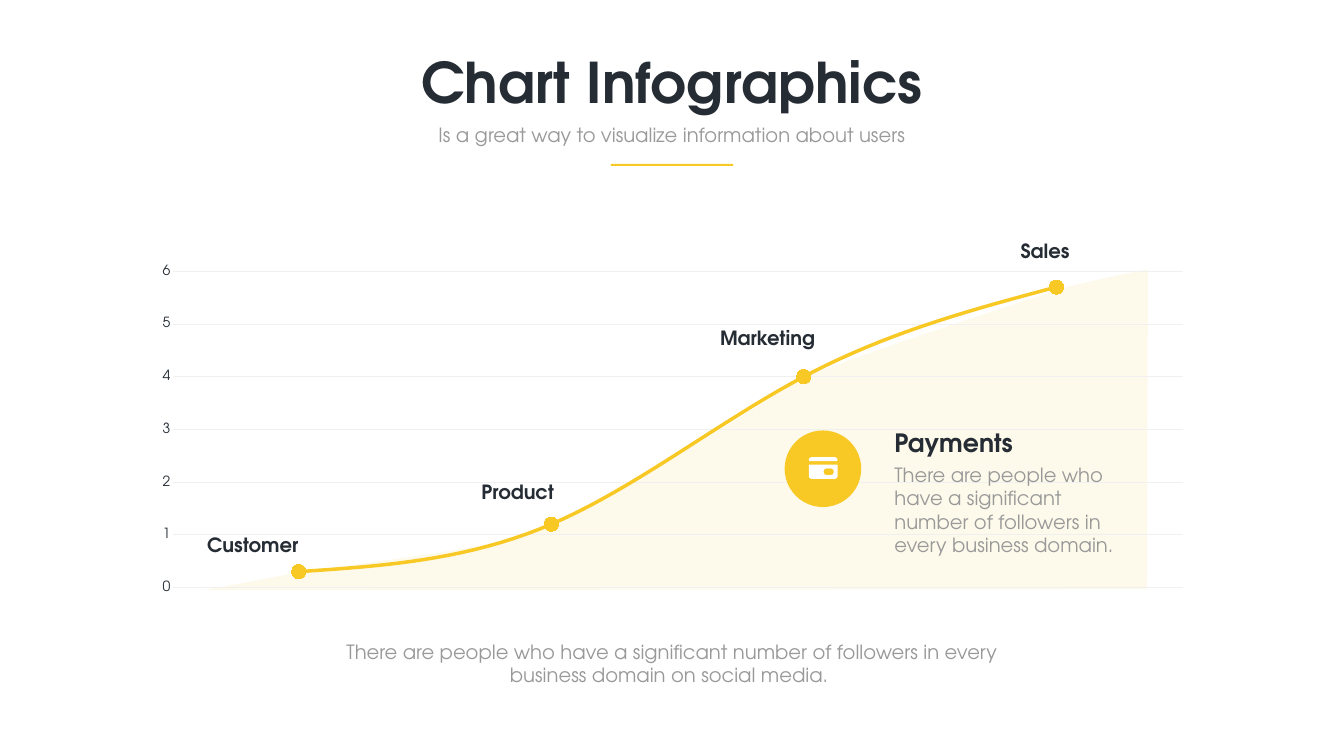
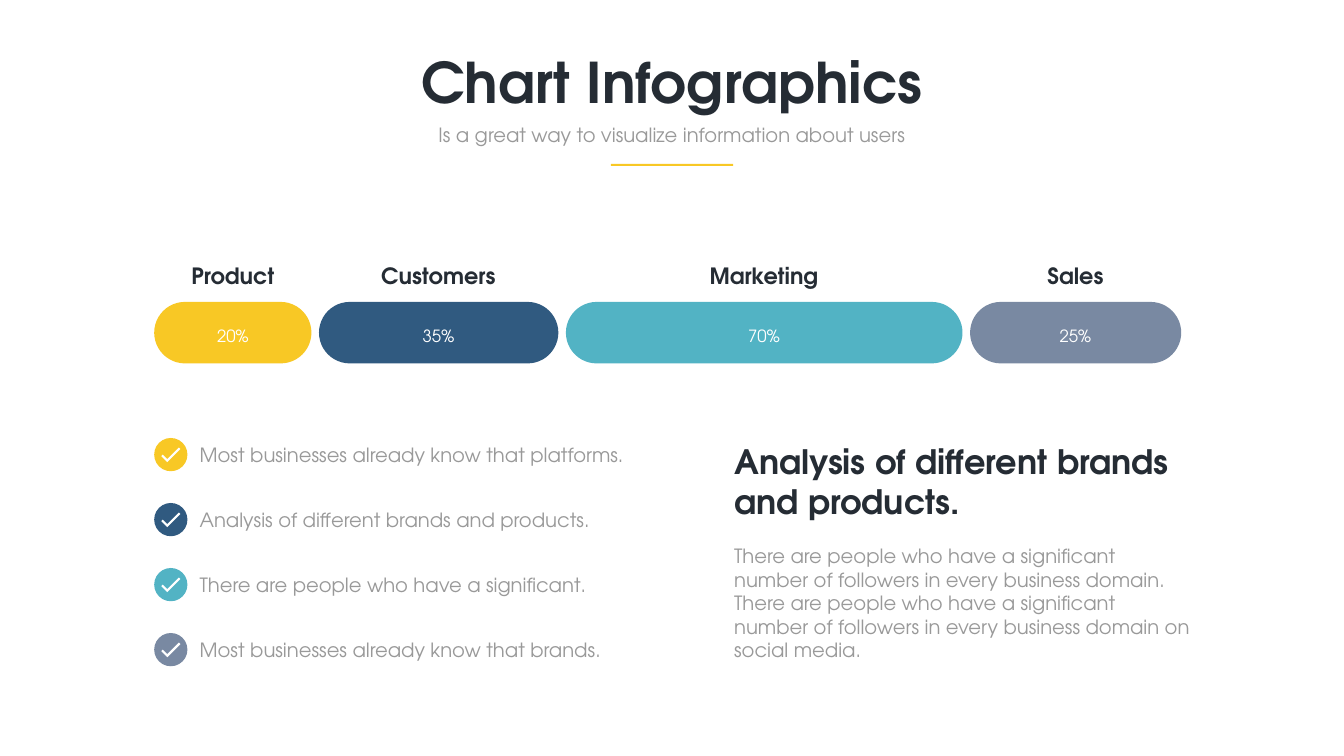
from dataclasses import dataclass

import lxml.etree
import pptx
import pptx.chart.data
import pptx.dml.color
import pptx.enum.chart
import pptx.enum.shapes
import pptx.enum.text
import pptx.oxml.ns
import pptx.util

RGBColor = pptx.dml.color.RGBColor
Pt = pptx.util.Pt
qn = pptx.oxml.ns.qn
Align = pptx.enum.text.PP_ALIGN
Preset = pptx.enum.shapes.MSO_SHAPE

SCALE = 9144  # EMU in one px, 100 px to the inch
FONT = "TeX Gyre Adventor"
INK = RGBColor(0x25, 0x2C, 0x34)
GRAY = RGBColor(0x99, 0x99, 0x99)
WHITE = RGBColor(0xFF, 0xFF, 0xFF)
GRID = RGBColor(0xF0, 0xF0, 0xF0)
CREAM = RGBColor(0xFE, 0xF4, 0xD3)
YELLOW = RGBColor(0xF8, 0xC8, 0x25)
NAVY = RGBColor(0x30, 0x5A, 0x80)
TEAL = RGBColor(0x52, 0xB3, 0xC4)
SLATE = RGBColor(0x79, 0x89, 0xA2)


@dataclass(frozen=True)
class Rect:
    left: int
    top: int
    width: int
    height: int

    def emu(self) -> list[int]:
        return [side * SCALE for side in (self.left, self.top, self.width, self.height)]


@dataclass(frozen=True)
class Style:
    size: int
    color: RGBColor = GRAY
    bold: bool = False
    align: Align = Align.LEFT
    line_spacing: float | None = None


@dataclass(frozen=True)
class Segment:
    name: str
    percent: str
    width: int
    color: RGBColor


@dataclass(frozen=True)
class Contour:
    """Closed outline: each step is a line end (2 numbers) or a cubic curve (6 numbers)."""
    start: tuple[int, int]
    steps: tuple[tuple[int, ...], ...]

    def points(self) -> list[tuple[int, int]]:
        return [step[index:index + 2] for step in self.steps for index in range(0, len(step), 2)]


TITLE = Style(80, INK, True, Align.CENTER)
SUBTITLE = Style(28, align=Align.CENTER)
BODY = Style(28)
POINT_LABEL = Style(28, INK, True, Align.RIGHT)
CARD_TITLE = Style(36, INK, True)
SEGMENT_NAME = Style(32, INK, True, Align.CENTER)
PERCENT = Style(24, WHITE, align=Align.CENTER, line_spacing=40.8)
HEADLINE = Style(48, INK, True)

AREA = Contour((586, 1137), (
    (775, 1108, 1021, 1084, 1095, 1042), (1256, 964, 1293, 935, 1602, 745),
    (1774, 684, 1718, 700, 2115, 570), (2241, 540, 2224, 546, 2278, 534),
    (2276, 1169), (406, 1171)))
CARD_STRIPE = Contour((1657, 907), (
    (1610, 907), (1607, 907, 1605, 910, 1605, 912), (1605, 913),
    (1605, 914, 1605, 915, 1606, 915), (1661, 915),
    (1662, 915, 1662, 914, 1662, 913), (1662, 912),
    (1662, 910, 1660, 907, 1657, 907)))
CARD_BODY = Contour((1661, 922), (
    (1606, 922), (1605, 922, 1605, 922, 1605, 923), (1605, 945),
    (1605, 948, 1607, 950, 1610, 950), (1657, 950),
    (1660, 950, 1662, 948, 1662, 945), (1662, 923),
    (1662, 922, 1662, 922, 1661, 922)))
CARD_HOLE = Contour((1648, 943), (
    (1647, 943, 1645, 943, 1644, 942), (1643, 943, 1642, 943, 1641, 943),
    (1637, 943, 1634, 940, 1634, 936), (1634, 932, 1637, 929, 1641, 929),
    (1642, 929, 1643, 929, 1644, 930), (1645, 929, 1647, 929, 1648, 929),
    (1652, 929, 1655, 932, 1655, 936), (1655, 940, 1652, 943, 1648, 943)))
CHECK_MARK = ((26, 42), (17, 33), (14, 36), (26, 48), (52, 22), (49, 19))

VALUES = (0.3, 1.2, 4, 5.7)
POINT_LABELS = (("Customer", 339, 1052), ("Product", 846, 948),
                ("Marketing", 1364, 641), ("Sales", 1869, 470))
SEGMENTS = (Segment("Product", "20%", 312, YELLOW), Segment("Customers", "35%", 475, NAVY),
            Segment("Marketing", "70%", 787, TEAL), Segment("Sales", "25%", 419, SLATE))
CHECKS = ("Most businesses already know that platforms.",
          "Analysis of different brands and products.",
          "There are people who have a significant.",
          "Most businesses already know that brands.")
MARGIN = 306
SEGMENT_GAP = 15
CHECK_PITCH = 129
CHECK_SPACE = 59  # points between list items, matching CHECK_PITCH


def write(box, lines: tuple[str, ...], style: Style, space_before: int = 0) -> None:
    frame = box.text_frame
    frame.word_wrap = True
    frame.auto_size = pptx.enum.text.MSO_AUTO_SIZE.SHAPE_TO_FIT_TEXT
    frame.vertical_anchor = pptx.enum.text.MSO_ANCHOR.TOP
    for index, line in enumerate(lines):
        para = frame.add_paragraph() if index else frame.paragraphs[0]
        para.alignment = style.align
        para.space_before = Pt(space_before if index else 0)
        if style.line_spacing:
            para.line_spacing = Pt(style.line_spacing)
        span = para.add_run()
        span.text = line
        span.font.name = FONT
        span.font.size = Pt(style.size)
        span.font.bold = style.bold
        span.font.color.rgb = style.color


def add_text(page, rect: Rect, text: str, style: Style) -> None:
    write(page.shapes.add_textbox(*rect.emu()), (text,), style)


def fill_placeholder(box, rect: Rect, lines: tuple[str, ...], style: Style,
                     space_before: int = 0) -> None:
    box.left, box.top, box.width, box.height = rect.emu()
    write(box, lines, style, space_before)


def paint(shape, color: RGBColor) -> None:
    shape.shadow.inherit = False
    shape.fill.solid()
    shape.fill.fore_color.rgb = color
    shape.line.fill.background()


def add_preset(page, kind: Preset, rect: Rect, color: RGBColor):
    shape = page.shapes.add_shape(kind, *rect.emu())
    paint(shape, color)
    return shape


def bend(shape, contours: tuple[Contour, ...]) -> None:
    """Join the three line segments drawn for each cubic step into one curve."""
    outline = shape.element.find(".//" + qn("a:path"))
    lines = iter(outline.findall(qn("a:lnTo")))
    for contour in contours:
        for step in contour.steps:
            pieces = [next(lines) for _ in range(len(step) // 2)]
            if len(pieces) == 1:
                continue
            curve = lxml.etree.Element(qn("a:cubicBezTo"))
            pieces[0].addprevious(curve)
            for piece in pieces:
                curve.append(piece[0])
                outline.remove(piece)


def add_outline(page, contours: tuple[Contour, ...], color: RGBColor):
    builder = page.shapes.build_freeform(*contours[0].start, scale=SCALE)
    for index, contour in enumerate(contours):
        if index:
            builder.move_to(*contour.start)
        builder.add_line_segments(contour.points(), close=True)
    shape = builder.convert_to_shape()
    bend(shape, contours)
    paint(shape, color)
    return shape


def add_page(deck, layout_index: int):
    """Add a slide with the shared title, subtitle and accent rule."""
    page = deck.slides.add_slide(deck.slide_layouts[layout_index])
    fill_placeholder(page.shapes.title, Rect(688, 90, 1291, 145), ("Chart Infographics",), TITLE)
    add_text(page, Rect(855, 238, 956, 57),
             "Is a great way to visualize information about users", SUBTITLE)
    add_preset(page, Preset.RECTANGLE, Rect(1212, 325, 243, 4), YELLOW)
    return page


def set_font(font, color: RGBColor) -> None:
    font.name = FONT
    font.size = Pt(20)
    font.color.rgb = color


def place_plot(chart, **fractions: float) -> None:
    """Fix the inner plot area as fractions of the chart."""
    plot_area = chart.element.find(".//" + qn("c:plotArea"))
    for layout in plot_area.findall(qn("c:layout")):
        plot_area.remove(layout)
    layout = lxml.etree.Element(qn("c:layout"))
    manual = lxml.etree.SubElement(layout, qn("c:manualLayout"))
    settings = {"layoutTarget": "inner", "xMode": "edge", "yMode": "edge", **fractions}
    for tag, value in settings.items():
        lxml.etree.SubElement(manual, qn("c:" + tag)).set("val", str(value))
    plot_area.insert(0, layout)


def add_growth_chart(page) -> None:
    data = pptx.chart.data.CategoryChartData()
    data.categories = [str(number) for number in range(1, len(VALUES) + 1)]
    data.add_series("Series 1", VALUES)
    chart = page.shapes.add_chart(pptx.enum.chart.XL_CHART_TYPE.LINE_MARKERS,
                                  *Rect(279, 511, 2110, 682).emu(), data).chart
    chart.has_title = False
    chart.has_legend = False
    set_font(chart.font, GRAY)
    place_plot(chart, x=0.03, y=0.04, w=0.95, h=0.92)
    chart.category_axis.visible = False

    axis = chart.value_axis
    axis.minimum_scale, axis.maximum_scale, axis.major_unit = 0, 6, 1
    axis.major_tick_mark = axis.minor_tick_mark = pptx.enum.chart.XL_TICK_MARK.NONE
    axis.format.line.fill.background()
    axis.major_gridlines.format.line.color.rgb = GRID
    axis.major_gridlines.format.line.width = Pt(0.75)
    set_font(axis.tick_labels.font, INK)

    chart.plots[0].vary_by_categories = False
    series = chart.plots[0].series[0]
    series.smooth = True
    series.format.line.color.rgb = YELLOW
    series.format.line.width = Pt(5)
    series.marker.style = pptx.enum.chart.XL_MARKER_STYLE.CIRCLE
    series.marker.size = 20
    series.marker.format.fill.solid()
    series.marker.format.fill.fore_color.rgb = YELLOW
    series.marker.format.line.color.rgb = YELLOW


def build_growth_page(deck) -> None:
    page = add_page(deck, 5)
    area = add_outline(page, (AREA,), CREAM)
    tint = area.element.spPr.find(qn("a:solidFill")).find(qn("a:srgbClr"))
    lxml.etree.SubElement(tint, qn("a:alpha")).set("val", "45000")
    add_growth_chart(page)
    for name, left, top in POINT_LABELS:
        add_text(page, Rect(left, top, 263, 57), name, POINT_LABEL)
    add_text(page, Rect(664, 1264, 1338, 104),
             "There are people who have a significant number of followers in every "
             "business domain on social media. ", SUBTITLE)

    add_preset(page, Preset.OVAL, Rect(1557, 854, 152, 152), YELLOW)
    add_text(page, Rect(1765, 913, 478, 199),
             "There are people who have a significant number of followers in every "
             "business domain.", BODY)
    add_text(page, Rect(1765, 842, 478, 71), "Payments", CARD_TITLE)
    add_outline(page, (CARD_STRIPE,), WHITE)
    add_outline(page, (CARD_BODY, CARD_HOLE), WHITE)


def build_share_page(deck) -> None:
    page = add_page(deck, 1)
    left = MARGIN
    for segment in SEGMENTS:
        pill = add_preset(page, Preset.ROUNDED_RECTANGLE,
                          Rect(left, 599, segment.width, 122), segment.color)
        pill.adjustments[0] = 0.5
        middle = left + segment.width // 2
        add_text(page, Rect(middle - 174, 516, 348, 64), segment.name, SEGMENT_NAME)
        add_text(page, Rect(middle - 56, 625, 112, 61), segment.percent, PERCENT)
        left += segment.width + SEGMENT_GAP

    for index, segment in enumerate(SEGMENTS):
        top = 869 + index * CHECK_PITCH
        add_preset(page, Preset.OVAL, Rect(MARGIN, top, 66, 66), segment.color)
        start, *rest = [(MARGIN + x, top + y) for x, y in CHECK_MARK]
        add_outline(page, (Contour(start, tuple(rest)),), WHITE)

    checklist = page.placeholders[1]
    fill_placeholder(checklist, Rect(386, 874, 899, 444), CHECKS, BODY, CHECK_SPACE)
    for para in checklist.text_frame.paragraphs:
        properties = para._p.get_or_add_pPr()
        properties.set("marL", "0")
        properties.set("indent", "0")
        lxml.etree.SubElement(properties, qn("a:buNone"))

    add_text(page, Rect(1447, 1075, 932, 246),
             "There are people who have a significant number of followers in every business "
             "domain. There are people who have a significant number of followers in every "
             "business domain on social media.", BODY)
    add_text(page, Rect(1447, 869, 932, 172), "Analysis of different brands and products.",
             HEADLINE)


def main() -> None:
    deck = pptx.Presentation()
    deck.slide_width, deck.slide_height = 2667 * SCALE, 1500 * SCALE
    build_growth_page(deck)
    build_share_page(deck)
    deck.save("out.pptx")


if __name__ == "__main__":
    main()
